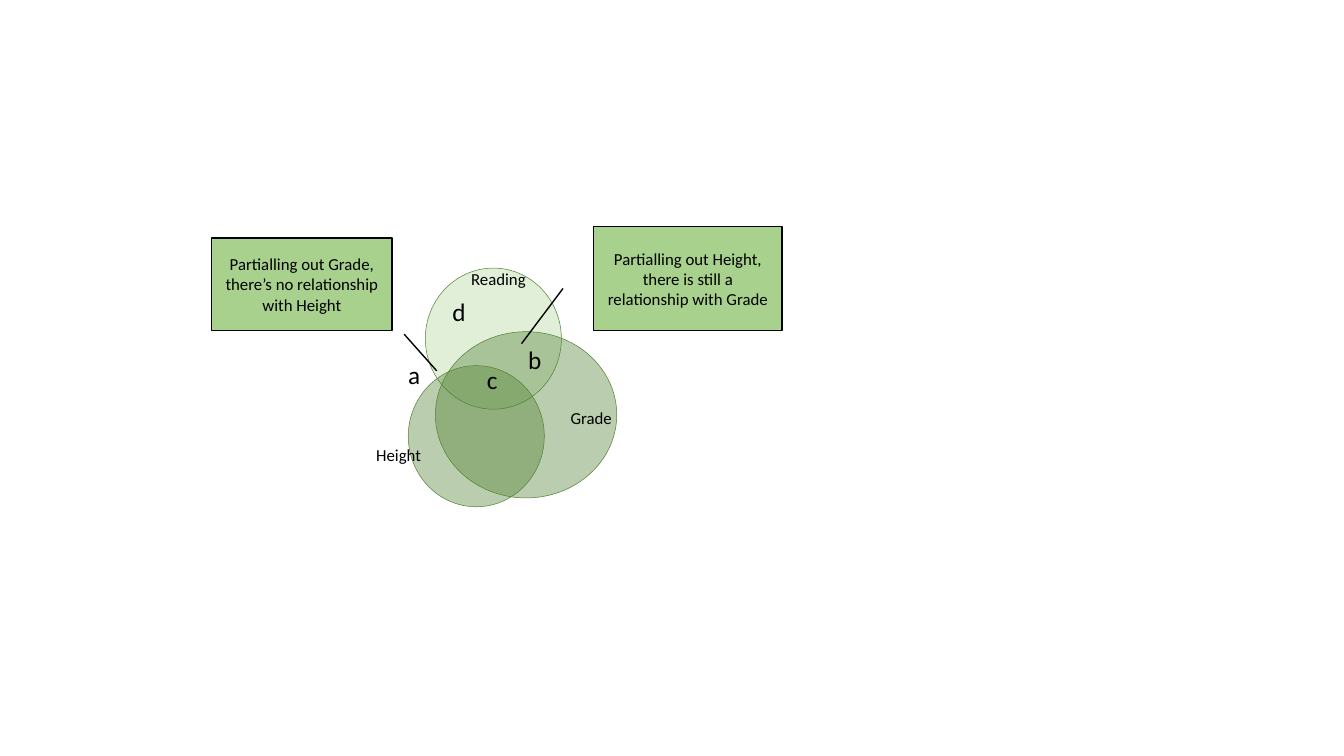
from lxml.etree import SubElement
from pptx import Presentation
from pptx.dml.color import RGBColor
from pptx.enum.shapes import MSO_SHAPE
from pptx.enum.text import MSO_ANCHOR, MSO_AUTO_SIZE, PP_ALIGN
from pptx.oxml.ns import qn
from pptx.util import Pt

BLACK = RGBColor(0x00, 0x00, 0x00)
PALE_GREEN = RGBColor(0xC5, 0xE0, 0xB4)
CALLOUT_GREEN = RGBColor(0xA9, 0xD1, 0x8E)
DARK_GREEN = RGBColor(0x54, 0x82, 0x35)


class VennSlide:
    font = "Calibri"
    label_size = 12
    region_size = 18

    def __init__(self, slide):
        self.shapes = slide.shapes

    def add_text(self, frame, text, size, align, anchor):
        frame.word_wrap = True
        frame.vertical_anchor = anchor
        paragraph = frame.paragraphs[0]
        paragraph.alignment = align
        run = paragraph.add_run()
        run.text = text
        run.font.name = self.font
        run.font.size = Pt(size)
        run.font.color.rgb = BLACK

    def block(self, kind, box, fill, line, line_width):
        shape = self.shapes.add_shape(kind, *map(Pt, box))
        shape.shadow.inherit = False
        shape.fill.solid()
        shape.fill.fore_color.rgb = fill
        shape.line.color.rgb = line
        shape.line.width = Pt(line_width)
        return shape

    def circle(self, box, fill, opacity):
        circle = self.block(MSO_SHAPE.OVAL, box, fill, DARK_GREEN, 0.37)
        color = circle.element.spPr.find(qn("a:solidFill"))[0]
        SubElement(color, qn("a:alpha"), val=str(opacity * 1000))

    def callout(self, box, text, pointer):
        callout = self.block(MSO_SHAPE.LINE_CALLOUT_1, box, CALLOUT_GREEN, BLACK, 1)
        for index, value in enumerate(pointer):
            callout.adjustments[index] = value
        self.add_text(callout.text_frame, text, self.label_size,
                      PP_ALIGN.CENTER, MSO_ANCHOR.MIDDLE)

    def region(self, letter, left, top, width=15.1):
        box = self.shapes.add_textbox(Pt(left), Pt(top), Pt(width), Pt(29))
        self.add_text(box.text_frame, letter, self.region_size,
                      PP_ALIGN.LEFT, MSO_ANCHOR.TOP)
        box.text_frame.auto_size = MSO_AUTO_SIZE.SHAPE_TO_FIT_TEXT

    def label(self, text, left, top):
        box = self.shapes.add_textbox(Pt(left), Pt(top), Pt(58.3), Pt(22.3))
        self.add_text(box.text_frame, text, self.label_size,
                      PP_ALIGN.CENTER, MSO_ANCHOR.MIDDLE)


def main():
    deck = Presentation()
    deck.slide_width, deck.slide_height = Pt(960), Pt(540)
    venn = VennSlide(deck.slides.add_slide(deck.slide_layouts[6]))

    venn.circle((303.8, 191.5, 97.2, 100.8), PALE_GREEN, 50)
    venn.circle((311, 236.9, 129.6, 118.8), DARK_GREEN, 40)
    venn.circle((291.6, 261.2, 97.2, 100.8), DARK_GREEN, 40)

    venn.region("a", 284.4, 253.4)
    venn.region("b", 370.1, 242.6)
    venn.region("c", 340.6, 257)
    venn.region("d", 316.1, 208.1, 22.3)

    venn.callout((424.1, 162, 134.6, 74.2),
                 "Partialling out Height, there is still a relationship with Grade",
                 (0.594, -0.163, 1.125, -0.383))
    venn.callout((151.2, 169.9, 128.9, 66.2),
                 "Partialling out Grade, there’s no relationship with Height",
                 (1.04, 1.067, 1.435, 1.247))

    venn.label("Reading", 326.9, 187.9)
    venn.label("Grade", 393.1, 287.3)
    venn.label("Height", 255.6, 313.9)

    deck.save("out.pptx")


if __name__ == "__main__":
    main()
